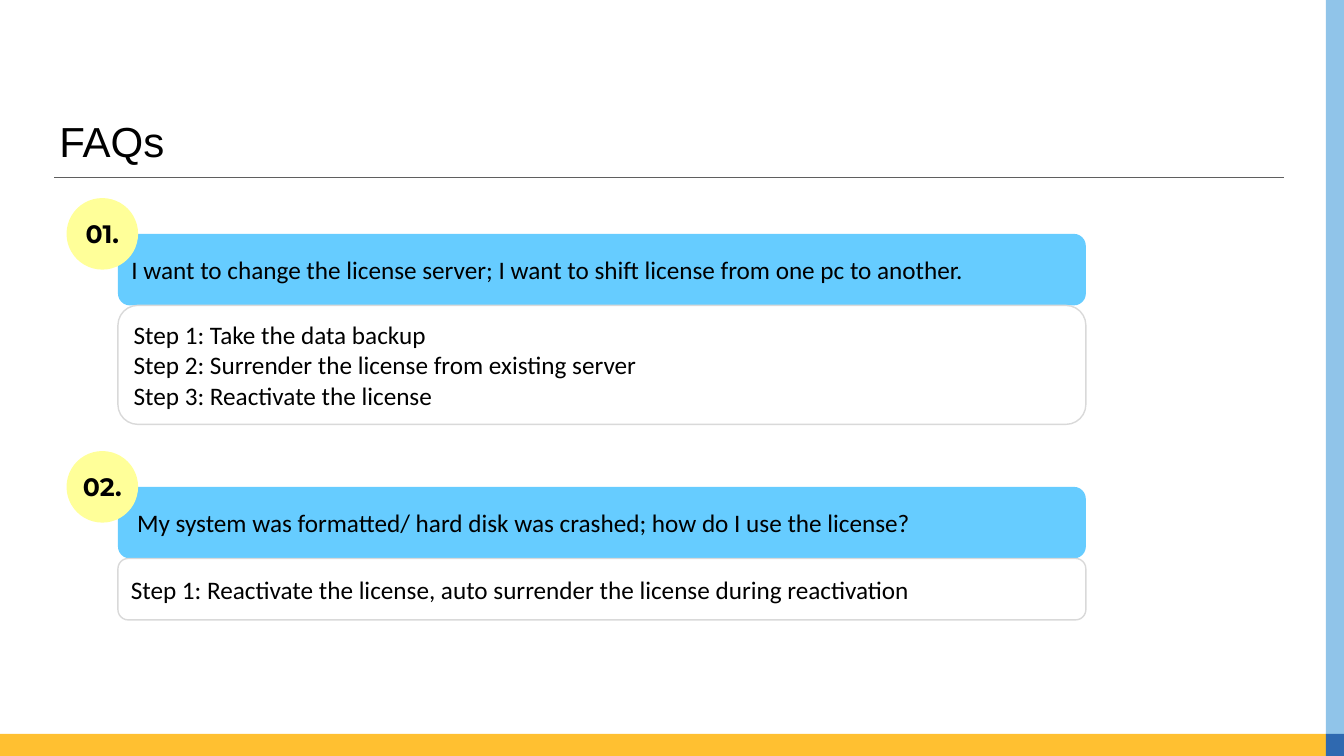
from pptx import Presentation
from pptx.dml.color import RGBColor
from pptx.enum.shapes import MSO_CONNECTOR, MSO_SHAPE
from pptx.enum.text import MSO_ANCHOR, PP_ALIGN
from pptx.oxml.ns import qn
from pptx.util import Inches, Pt
from lxml.etree import SubElement

TITLE = "FAQs"
FAQS = [
    {
        "number": "01.",
        "question": "I want to change the license server; I want to shift license from one pc to another.",
        "steps": [
            "Step 1: Take the data backup",
            "Step 2: Surrender the license from existing server",
            "Step 3: Reactivate the license",
        ],
        "answer_height": 1.18,
    },
    {
        "number": "02.",
        "question": " My system was formatted/ hard disk was crashed; how do I use the license?",
        "steps": ["Step 1: Reactivate the license, auto surrender the license during reactivation"],
        "answer_height": 0.61,
    },
]
COLORS = {
    "text": "000000",
    "question": "66CCFF",
    "badge": "FFFF99",
    "answer": "FFFFFF",
    "outline": "D9D9D9",
    "rule": "5F5F5F",
    "bottom": "FFC031",
    "side": "90C4E9",
    "corner": "2F69B0",
}

WIDTH, HEIGHT = 13.33, 7.5
STRIPE_TOP, STRIPE_LEFT = 7.28, 13.15
CARD_LEFT, CARD_WIDTH = 1.17, 9.6
FIRST_CARD_TOP, CARD_GAP = 2.32, 0.62
BAR_HEIGHT = BADGE_SIZE = 0.71
BADGE_LEFT = 0.66


def color(name):
    return RGBColor.from_string(COLORS[name])


def write(shape, lines, size=18, font="Calibri", bold=False, align=PP_ALIGN.LEFT):
    frame = shape.text_frame
    frame.word_wrap = True
    frame.vertical_anchor = MSO_ANCHOR.MIDDLE
    frame.text = "\n".join(lines)
    for paragraph in frame.paragraphs:
        paragraph.alignment = align
        for run in paragraph.runs:
            run.font.size = Pt(size)
            run.font.name = font
            run.font.bold = bold
            run.font.color.rgb = color("text")


def add_block(slide, kind, box, fill, outline=None):
    shape = slide.shapes.add_shape(kind, *map(Inches, box))
    shape.shadow.inherit = False
    shape.fill.solid()
    shape.fill.fore_color.rgb = color(fill)
    if outline:
        shape.line.color.rgb = color(outline)
        shape.line.width = Pt(1)
    else:
        shape.line.fill.background()
    return shape


def add_frame(slide):
    """Draw the rule under the title and the stripes at the slide's edges."""
    rule = slide.shapes.add_connector(
        MSO_CONNECTOR.STRAIGHT, Inches(0.54), Inches(1.76), Inches(12.73), Inches(1.76))
    rule.line.color.rgb = color("rule")
    rule.line.width = Pt(0.82)
    SubElement(rule._element.spPr, qn("a:effectLst"))

    side_width, bottom_height = WIDTH - STRIPE_LEFT, HEIGHT - STRIPE_TOP
    stripes = {
        "bottom": (0, STRIPE_TOP, STRIPE_LEFT, bottom_height),
        "side": (STRIPE_LEFT, 0, side_width, STRIPE_TOP),
        "corner": (STRIPE_LEFT, STRIPE_TOP, side_width, bottom_height),
    }
    for name, box in stripes.items():
        add_block(slide, MSO_SHAPE.RECTANGLE, box, name)


def add_faq(slide, faq, top):
    """Draw one question with its badge and answer; return the bottom edge."""
    bar = add_block(slide, MSO_SHAPE.ROUNDED_RECTANGLE,
                    (CARD_LEFT, top, CARD_WIDTH, BAR_HEIGHT), "question")
    bar.adjustments[0] = 0.167
    write(bar, [faq["question"]])

    badge = add_block(slide, MSO_SHAPE.OVAL,
                      (BADGE_LEFT, top - BADGE_SIZE / 2, BADGE_SIZE, BADGE_SIZE), "badge")
    write(badge, [faq["number"]], font="Montserrat", bold=True, align=PP_ALIGN.CENTER)
    badge.text_frame.margin_left = badge.text_frame.margin_right = 0

    answer_top = top + BAR_HEIGHT
    answer = add_block(slide, MSO_SHAPE.ROUNDED_RECTANGLE,
                       (CARD_LEFT, answer_top, CARD_WIDTH, faq["answer_height"]),
                       "answer", "outline")
    write(answer, faq["steps"])
    return answer_top + faq["answer_height"]


def main():
    presentation = Presentation()
    presentation.slide_width, presentation.slide_height = Inches(WIDTH), Inches(HEIGHT)
    slide = presentation.slides.add_slide(presentation.slide_layouts[6])
    add_frame(slide)

    title = slide.shapes.add_textbox(Inches(0.49), Inches(1.18), Inches(12.2), Inches(0.5))
    write(title, [TITLE], size=30, font="Arial")
    title.text_frame.paragraphs[0].line_spacing = 0.9

    top = FIRST_CARD_TOP
    for faq in FAQS:
        top = add_faq(slide, faq, top) + CARD_GAP
    presentation.save("out.pptx")


if __name__ == "__main__":
    main()
